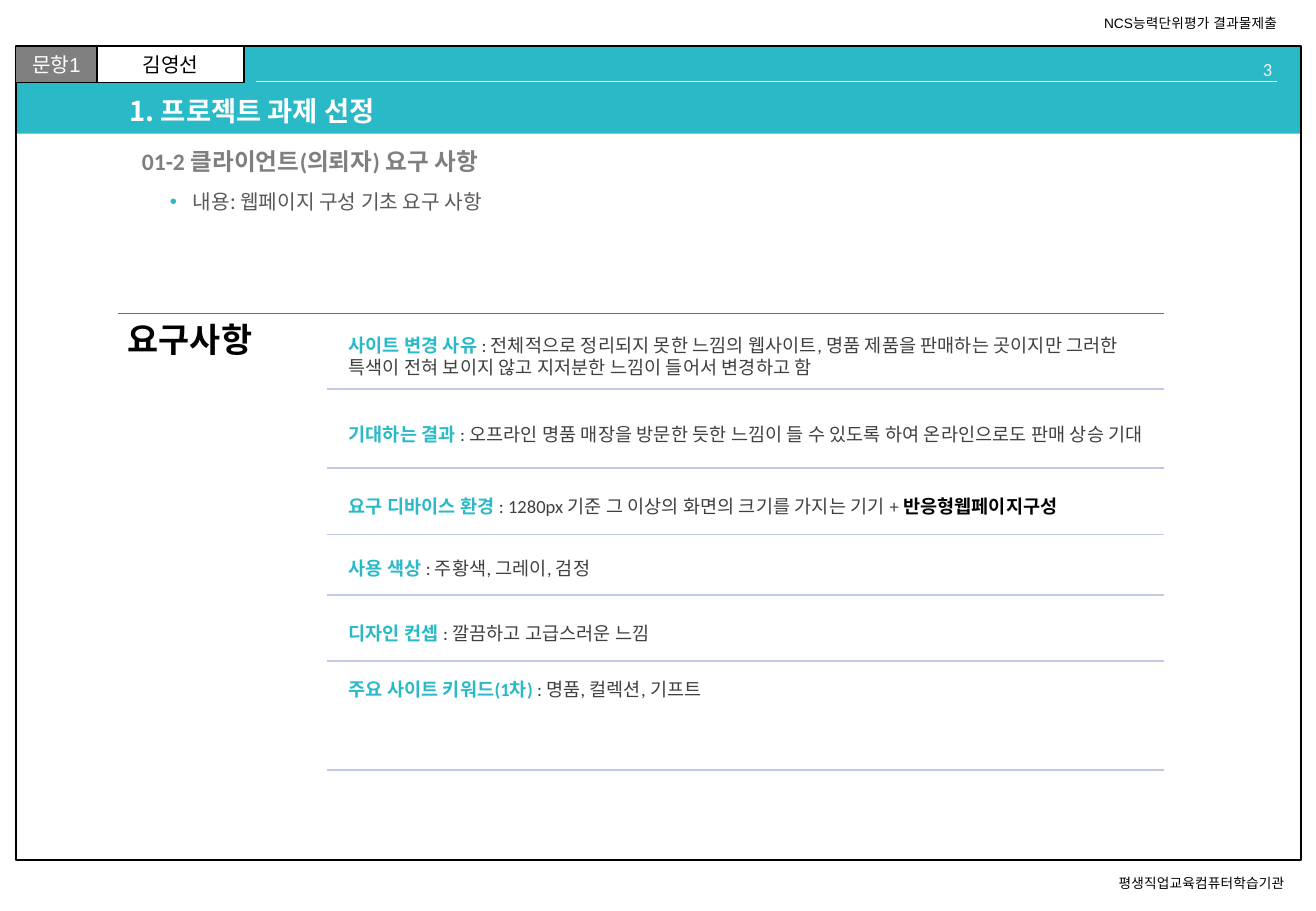
from lxml.etree import SubElement
from pptx import Presentation
from pptx.dml.color import RGBColor
from pptx.enum.shapes import MSO_CONNECTOR, MSO_SHAPE
from pptx.enum.text import MSO_ANCHOR, PP_ALIGN
from pptx.oxml.ns import qn
from pptx.util import Pt

COLORS = {
    "teal": "2AB9C7", "black": "000000", "white": "FFFFFF", "gray": "808080",
    "page": "F2F2F2", "subtitle": "7F7F7F", "body": "595959", "detail": "404040",
    "blue": "4472C4", "divider": "C1C9E4",
}
NOTO = "Noto Sans CJK KR"

deck = Presentation()
deck.slide_width, deck.slide_height = Pt(780), Pt(540)
page = deck.slides.add_slide(deck.slide_layouts[6])


def write(shape, spans, size, font, align=PP_ALIGN.LEFT, anchor=MSO_ANCHOR.TOP,
          wrap=True, inset=None, spacing=None):
    """Fill a shape with one paragraph of (text, color, bold) spans."""
    frame = shape.text_frame
    frame.word_wrap = wrap
    frame.vertical_anchor = anchor
    if inset is not None:
        frame.margin_left = frame.margin_right = Pt(inset)
        frame.margin_top = frame.margin_bottom = Pt(inset)
    para = frame.paragraphs[0]
    para.alignment = align
    if spacing:
        para.line_spacing = spacing
    for text, color, bold in spans:
        span = para.add_run()
        span.text = text
        span.font.size = Pt(size)
        span.font.name = font
        span.font.bold = bold
        span.font.color.rgb = RGBColor.from_string(COLORS[color])
        SubElement(span.font._element, qn("a:ea")).set("typeface", font)
    return para


def add_rule(left, right, top, color, width):
    """Draw a horizontal line without a shadow."""
    rule = page.shapes.add_connector(
        MSO_CONNECTOR.STRAIGHT, Pt(left), Pt(top), Pt(right), Pt(top))
    rule.line.color.rgb = RGBColor.from_string(COLORS[color])
    rule.line.width = Pt(width)
    SubElement(rule._element.spPr, qn("a:effectLst"))


# Header band, page frame and the two label boxes
panels = [
    (9, 27.4, 761.8, 51.8, "teal", None, None),
    (9.4, 27.4, 761.8, 482.4, None, 1, None),
    (9.4, 27.4, 48.2, 21.6, "gray", 0.75, ("문항1", "white", False)),
    (57.6, 27.4, 87.1, 21.6, "white", 0.75, ("김영선", "black", False)),
]
for left, top, width, height, fill, border, label in panels:
    panel = page.shapes.add_shape(
        MSO_SHAPE.RECTANGLE, Pt(left), Pt(top), Pt(width), Pt(height))
    panel.shadow.inherit = False
    if fill:
        panel.fill.solid()
        panel.fill.fore_color.rgb = RGBColor.from_string(COLORS[fill])
    else:
        panel.fill.background()
    if border:
        panel.line.color.rgb = RGBColor.from_string(COLORS["black"])
        panel.line.width = Pt(border)
    else:
        panel.line.fill.background()
    if label:
        write(panel, [label], 12, "Arial", PP_ALIGN.CENTER, MSO_ANCHOR.MIDDLE, wrap=False)

add_rule(151.9, 756.7, 48.2, "white", 0.5)

# Notes outside the frame
for left, top, width, text in [
    (647.3, 5, 123.8, "NCS능력단위평가 결과물제출"),
    (655.9, 514.8, 121, "평생직업교육컴퓨터학습기관"),
]:
    note = page.shapes.add_textbox(Pt(left), Pt(top), Pt(width), Pt(17.3))
    write(note, [(text, "black", False)], 8.1, "Arial", wrap=False)

# Page number
number = page.shapes.add_textbox(Pt(676.1), Pt(31), Pt(85), Pt(14.4))
write(number, [("3", "page", False)], 11, "Calibri", PP_ALIGN.RIGHT)

# Title, subtitle and bullet line
title = page.shapes.add_textbox(Pt(69.8), Pt(54.7), Pt(630.7), Pt(24.5))
write(title, [("1. 프로젝트 과제 선정", "white", True)], 16.2, NOTO,
      anchor=MSO_ANCHOR.MIDDLE, spacing=0.9)

subtitle = page.shapes.add_textbox(Pt(77), Pt(84.2), Pt(623.5), Pt(24.5))
write(subtitle, [("01-2 클라이언트(의뢰자) 요구 사항", "subtitle", True)], 14, "Calibri",
      anchor=MSO_ANCHOR.MIDDLE, spacing=0.9)

content = page.shapes.add_textbox(Pt(93.6), Pt(108.7), Pt(607), Pt(24.5))
para = write(content, [("내용: 웹페이지 구성 기초 요구 사항", "body", False)], 12, NOTO)
properties = para._p.get_or_add_pPr()
properties.set("marL", str(Pt(13.7)))
properties.set("indent", str(Pt(-13.7)))
bullet_color = SubElement(properties, qn("a:buClr"))
SubElement(bullet_color, qn("a:srgbClr")).set("val", COLORS["teal"])
SubElement(properties, qn("a:buFont")).set("typeface", "Arial")
SubElement(properties, qn("a:buChar")).set("char", "•")

# Requirements heading
add_rule(69.8, 689.8, 185.8, "blue", 1)
heading = page.shapes.add_textbox(Pt(69.8), Pt(185.8), Pt(123.8), Pt(277.2))
write(heading, [("요구사항", "black", True)], 20, "Calibri", inset=5.8, spacing=0.9)

# Requirement rows: top, bottom divider, anchor, label, detail, emphasis
MIDDLE, TOP = MSO_ANCHOR.MIDDLE, MSO_ANCHOR.TOP
rows = [
    (191.5, 230.4, MIDDLE, "사이트 변경 사유 ",
     ": 전체적으로 정리되지 못한 느낌의 웹사이트, 명품 제품을 판매하는 곳이지만 그러한 "
     "특색이 전혀 보이지 않고 지저분한 느낌이 들어서 변경하고 함", ""),
    (236.9, 277.5, MIDDLE, "기대하는 결과 ",
     ": 오프라인 명품 매장을 방문한 듯한 느낌이 들 수 있도록 하여 온라인으로도 판매 상승 기대", ""),
    (283.7, 316.8, MIDDLE, "요구 디바이스 환경 ",
     ": 1280px 기준 그 이상의 화면의 크기를 가지는 기기 + ", "반응형웹페이지구성"),
    (321.1, 352.8, MIDDLE, "사용 색상 ", ": 주황색, 그레이, 검정", ""),
    (359.3, 391.7, MIDDLE, "디자인 컨셉 ", ": 깔끔하고 고급스러운 느낌", ""),
    (398.2, 456.5, TOP, "주요 사이트 키워드(1차) ", ": 명품, 컬렉션, 기프트", ""),
]
for top, bottom, anchor, label, detail, emphasis in rows:
    box = page.shapes.add_textbox(Pt(203), Pt(top), Pt(486), Pt(bottom - top))
    spans = [(label, "teal", True), (detail, "detail", False)]
    if emphasis:
        spans.append((emphasis, "black", True))
    write(box, spans, 11, "Calibri", anchor=anchor, inset=3.6)
    add_rule(193.7, 689.8, bottom, "divider", 1)

deck.save("out.pptx")
